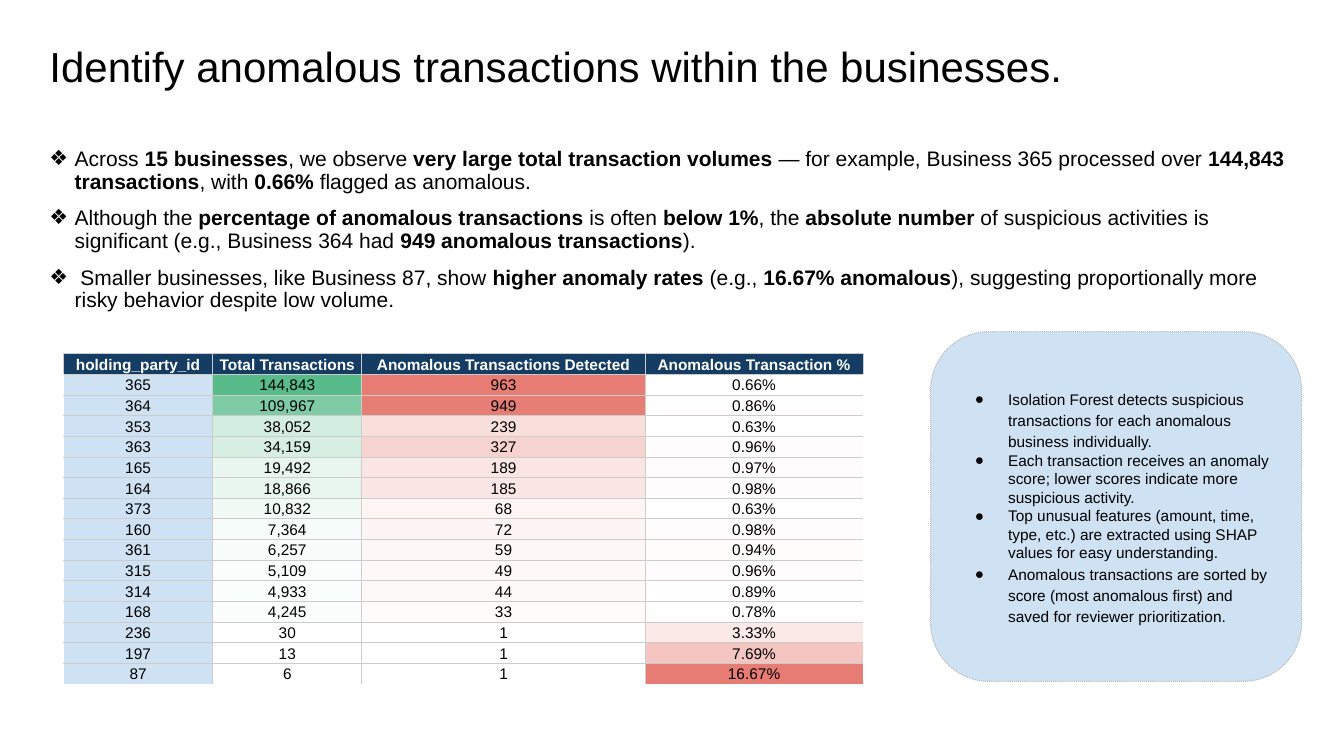
from dataclasses import dataclass

from lxml.etree import SubElement
from pptx import Presentation
from pptx.dml.color import RGBColor
from pptx.enum.dml import MSO_LINE
from pptx.enum.shapes import MSO_SHAPE
from pptx.enum.text import MSO_ANCHOR, MSO_AUTO_SIZE, PP_ALIGN
from pptx.oxml.ns import qn
from pptx.util import Inches, Pt


@dataclass(frozen=True)
class Theme:
    font: str = "Arial"
    title_size: float = 30
    body_size: float = 15
    small_size: float = 11
    black: str = "000000"
    white: str = "FFFFFF"
    navy: str = "153D64"
    pale_blue: str = "CFE2F3"
    green: str = "57BB8A"
    red: str = "E67C73"
    grid: str = "CCCCCC"
    outline: str = "B7B7B7"


theme = Theme()


def add_run(p, text, size, color=theme.black, bold=False):
    r = p.add_run()
    r.text = text
    r.font.name = theme.font
    r.font.size = Pt(size)
    r.font.bold = bold
    r.font.color.rgb = RGBColor.from_string(color)


def set_bullet(p, char, left, hanging):
    """Give a paragraph a black bullet; call it after the spacing is set."""
    pPr = p._p.get_or_add_pPr()
    pPr.set("marL", str(Inches(left)))
    pPr.set("indent", str(-Inches(hanging)))
    color = SubElement(pPr, qn("a:buClr"))
    SubElement(color, qn("a:srgbClr"), val=theme.black)
    SubElement(pPr, qn("a:buFont"), typeface=theme.font)
    SubElement(pPr, qn("a:buChar"), char=char)


prs = Presentation()
prs.slide_width, prs.slide_height = Inches(13.33), Inches(7.5)
s = prs.slides.add_slide(prs.slide_layouts[1])

# Title
title = s.shapes.title
title.left, title.top = Inches(0.39), Inches(0.39)
title.width, title.height = Inches(12.52), Inches(0.59)
tf = title.text_frame
tf.auto_size = MSO_AUTO_SIZE.NONE
tf.vertical_anchor = MSO_ANCHOR.MIDDLE
p = tf.paragraphs[0]
p.alignment = PP_ALIGN.LEFT
p.line_spacing = 0.9
add_run(p, "Identify anomalous transactions within the businesses.", theme.title_size)

# Findings: ** marks the start and end of bold text
findings = [
    "Across **15 businesses**, we observe **very large total transaction volumes** — for example, "
    "Business 365 processed over **144,843 transactions**, with **0.66%** flagged as anomalous.",
    "Although the **percentage of anomalous transactions** is often **below 1%**, the "
    "**absolute number** of suspicious activities is significant (e.g., Business 364 had "
    "**949 anomalous transactions**).",
    " Smaller businesses, like Business 87, show **higher anomaly rates** (e.g., "
    "**16.67% anomalous**), suggesting proportionally more risky behavior despite low volume.",
]
body = s.placeholders[1]
body.left, body.top = Inches(0.39), Inches(1.42)
body.width, body.height = Inches(12.63), Inches(5.27)
tf = body.text_frame
tf.auto_size = MSO_AUTO_SIZE.NONE
tf.vertical_anchor = MSO_ANCHOR.TOP
for i, finding in enumerate(findings):
    p = tf.add_paragraph() if i else tf.paragraphs[0]
    p.line_spacing = 0.9
    p.space_before = Pt(10 if i else 0)
    set_bullet(p, "❖", 0.25, 0.25)
    for j, text in enumerate(finding.split("**")):
        add_run(p, text, theme.body_size, bold=j % 2 == 1)

# Table with a colour scale from white (lowest) to the column colour (highest)
headers = ["holding_party_id", "Total Transactions",
           "Anomalous Transactions Detected", "Anomalous Transaction %"]
businesses = [
    (365, 144843, 963, 0.66),
    (364, 109967, 949, 0.86),
    (353, 38052, 239, 0.63),
    (363, 34159, 327, 0.96),
    (165, 19492, 189, 0.97),
    (164, 18866, 185, 0.98),
    (373, 10832, 68, 0.63),
    (160, 7364, 72, 0.98),
    (361, 6257, 59, 0.94),
    (315, 5109, 49, 0.96),
    (314, 4933, 44, 0.89),
    (168, 4245, 33, 0.78),
    (236, 30, 1, 3.33),
    (197, 13, 1, 7.69),
    (87, 6, 1, 16.67),
]
formats = ["{}", "{:,}", "{}", "{:.2f}%"]
scale_colors = [None, theme.green, theme.red, theme.red]
col_widths = [1.48, 1.48, 2.81, 2.16]
row_height = 0.205
rows, cols = len(businesses) + 1, len(headers)
frame = s.shapes.add_table(rows, cols, Inches(0.63), Inches(3.51),
                           Inches(sum(col_widths)), Inches(row_height * rows))
table = frame.table
table.first_row = table.horz_banding = False
for row in table.rows:
    row.height = Inches(row_height)

for c, width in enumerate(col_widths):
    table.columns[c].width = Inches(width)
    values = [business[c] for business in businesses]
    low, high = min(values), max(values)
    for r in range(rows):
        cell = table.cell(r, c)
        is_header = r == 0
        if is_header:
            text, fill = headers[c], RGBColor.from_string(theme.navy)
        else:
            value = values[r - 1]
            text = formats[c].format(value)
            fill = RGBColor.from_string(scale_colors[c] or theme.pale_blue)
            if scale_colors[c]:
                share = (value - low) / (high - low)
                fill = RGBColor(*(round(255 - (255 - part) * share) for part in fill))

        white_edges = {
            "a:lnL": c == 0 and not is_header,
            "a:lnR": c == cols - 1 and not is_header,
            "a:lnT": False,
            "a:lnB": r == rows - 1,
        }
        tcPr = cell._tc.get_or_add_tcPr()
        for edge, is_white in white_edges.items():
            ln = SubElement(tcPr, qn(edge), w=str(Pt(0.75)))
            solid = SubElement(ln, qn("a:solidFill"))
            SubElement(solid, qn("a:srgbClr"), val=theme.white if is_white else theme.grid)

        cell.fill.solid()
        cell.fill.fore_color.rgb = fill
        cell.margin_left = cell.margin_right = Inches(0.02)
        cell.margin_top = cell.margin_bottom = Inches(0.01)
        cell.vertical_anchor = MSO_ANCHOR.BOTTOM
        p = cell.text_frame.paragraphs[0]
        p.alignment = PP_ALIGN.CENTER
        add_run(p, text, theme.small_size,
                theme.white if is_header else theme.black, is_header)

# Method panel: text, line spacing, space before
method_notes = [
    ("Isolation Forest detects suspicious transactions for each anomalous business "
     "individually.", 1.15, 12),
    ("Each transaction receives an anomaly score; lower scores indicate more suspicious "
     "activity.", 1.0, 0),
    ("Top unusual features (amount, time, type, etc.) are extracted using SHAP values for "
     "easy understanding.", 1.0, 0),
    ("Anomalous transactions are sorted by score (most anomalous first) and saved for "
     "reviewer prioritization.", 1.15, 0),
]
sp = s.shapes.add_shape(MSO_SHAPE.ROUNDED_RECTANGLE,
                        Inches(9.23), Inches(3.29), Inches(3.68), Inches(3.47))
sp.adjustments[0] = 0.167
sp.shadow.inherit = False
sp.fill.solid()
sp.fill.fore_color.rgb = RGBColor.from_string(theme.pale_blue)
sp.line.color.rgb = RGBColor.from_string(theme.outline)
sp.line.width = Pt(0.75)
sp.line.dash_style = MSO_LINE.ROUND_DOT
tf = sp.text_frame
tf.word_wrap = True
tf.vertical_anchor = MSO_ANCHOR.MIDDLE
tf.margin_left = tf.margin_right = tf.margin_top = tf.margin_bottom = Inches(0.1)
for i, (note, spacing, before) in enumerate(method_notes):
    p = tf.add_paragraph() if i else tf.paragraphs[0]
    p.alignment = PP_ALIGN.LEFT
    p.line_spacing = spacing
    p.space_before = Pt(before)
    set_bullet(p, "●", 0.5, 0.33)
    add_run(p, note, theme.small_size)

prs.save("out.pptx")
